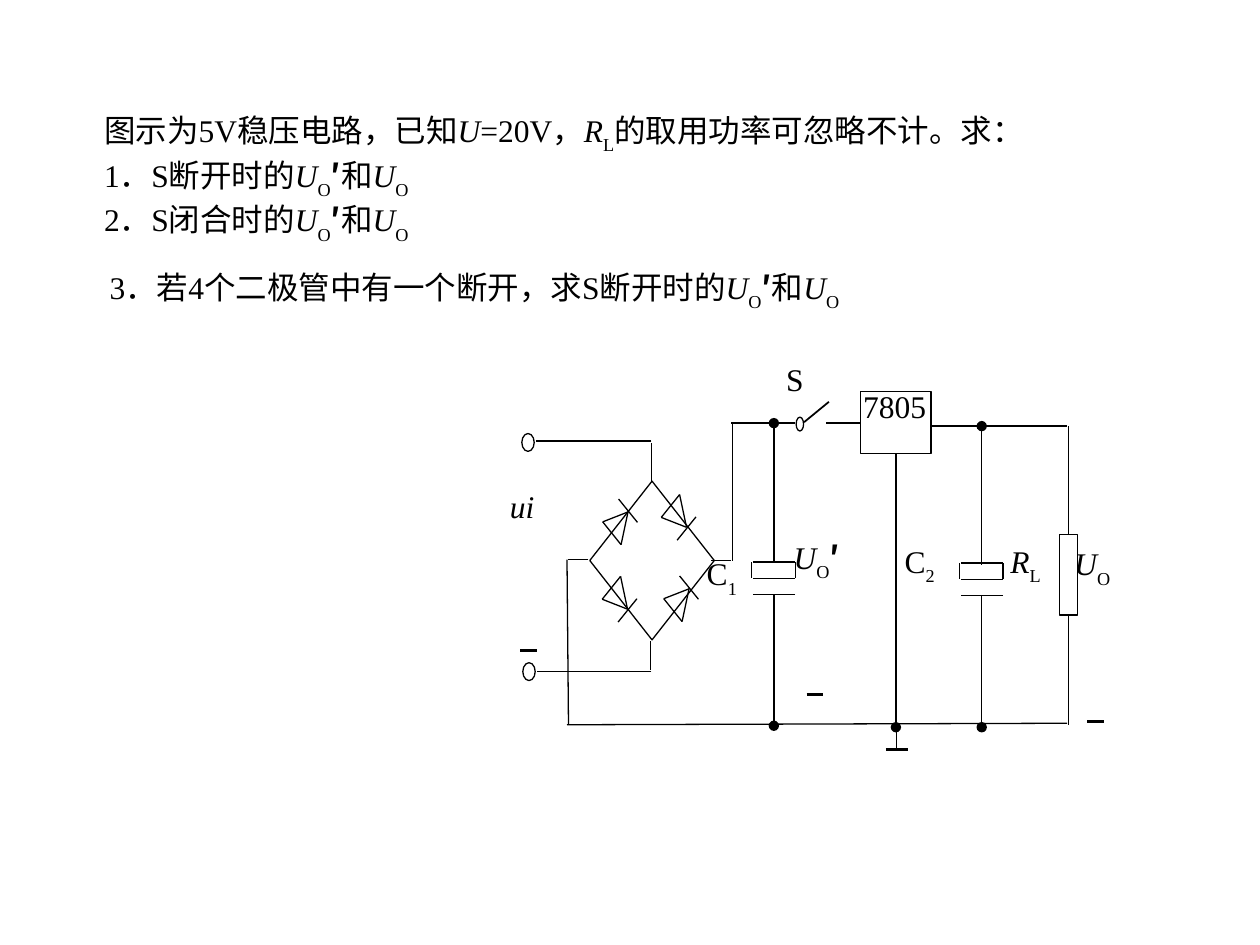
import pptx
import pptx.util
import pptx.dml.color
import pptx.enum.shapes
import pptx.enum.text
import pptx.oxml.ns
from dataclasses import dataclass
from lxml import etree

Cm, Pt = pptx.util.Cm, pptx.util.Pt
Shape = pptx.enum.shapes.MSO_SHAPE
Anchor = pptx.enum.text.MSO_ANCHOR
Fit = pptx.enum.text.MSO_AUTO_SIZE
qn = pptx.oxml.ns.qn


@dataclass
class Theme:
    """Colours, fonts and sizes of the slide."""
    ink: str = "000000"
    paper: str = "FFFFFF"
    latin: str = "Times New Roman"
    asian: str = "Noto Sans CJK SC"
    size: float = 18
    thin: float = 0.74
    lever: float = 0.99
    bold: float = 1.5


def rgb(code):
    """Turn a hex code into a colour."""
    return pptx.dml.color.RGBColor.from_string(code)


def apply(item, form):
    """Set each attribute named in a dict."""
    for name, value in form.items():
        setattr(item, name, value)


class Sheet:
    """Draws circuit parts and text on one slide."""

    def __init__(self, slide, theme):
        """Keep the slide and its style."""
        self.slide, self.theme = slide, theme
        self.forms = {
            "": {},
            "it": {"italic": True},
            "sub": {},
            "prime": {"bold": True, "name": theme.asian},
        }

    def line(self, x1, y1, x2, y2, width=None, dot=False):
        """Draw a wire, with a dot at its end if asked."""
        wire = self.slide.shapes.add_connector(
            pptx.enum.shapes.MSO_CONNECTOR.STRAIGHT, Cm(x1), Cm(y1), Cm(x2), Cm(y2))
        wire.line.color.rgb = rgb(self.theme.ink)
        wire.line.width = Pt(width or self.theme.thin)
        props = wire.element.spPr
        if dot:
            etree.SubElement(props.find(qn("a:ln")), qn("a:tailEnd"), type="oval")
        etree.SubElement(props, qn("a:effectLst"))

    def shape(self, kind, x, y, w, h):
        """Draw a filled, outlined preset shape."""
        part = self.slide.shapes.add_shape(kind, Cm(x), Cm(y), Cm(w), Cm(h))
        part.shadow.inherit = False
        part.fill.solid()
        part.fill.fore_color.rgb = rgb(self.theme.paper)
        part.line.color.rgb = rgb(self.theme.ink)
        part.line.width = Pt(self.theme.thin)

    def text(self, x, y, w, h, rows, **form):
        """Write rows of (words, style) runs."""
        box = self.slide.shapes.add_textbox(Cm(x), Cm(y), Cm(w), Cm(h))
        frame = box.text_frame
        apply(frame, {"word_wrap": True, "auto_size": Fit.NONE, **form})
        for i, row in enumerate(rows):
            para = frame.add_paragraph() if i else frame.paragraphs[0]
            for words, style in row:
                self.run(para, words, style)

    def run(self, para, words, style):
        """Add one styled run to a paragraph."""
        run = para.add_run()
        run.text = words
        apply(run.font, {"size": Pt(self.theme.size), "name": self.theme.latin,
                         **self.forms[style]})
        run.font.color.rgb = rgb(self.theme.ink)
        props = run.font._element
        props.find(qn("a:latin")).addnext(
            etree.Element(qn("a:ea"), typeface=self.theme.asian))
        if style == "sub":
            props.set("baseline", "-30000")

    def diode(self, x, y, turn):
        """Draw a diode by its tip; turn is 1 for downward, -1 for upward."""
        side, back = (x - 0.51, y - 0.2 * turn), (x - 0.14, y - 0.66 * turn)
        self.line(*side, *back)
        self.line(*back, x, y)
        self.line(*side, x, y)
        self.line(x - 0.19, y + 0.26 * turn, x + 0.19, y - 0.21 * turn)

    def cap(self, x, y):
        """Draw a polar capacitor by the middle of its top plate."""
        left, right, gap = x - 0.42, x + 0.43, 0.33
        for i in range(3):
            self.line(right, y + i * gap, left, y + i * gap)
        for edge in (left - 0.03, right):
            self.line(edge, y, edge, y + gap)


theme = Theme()
deck = pptx.Presentation()
apply(deck, {"slide_width": Cm(25.4), "slide_height": Cm(19.05)})
sheet = Sheet(deck.slides.add_slide(deck.slide_layouts[6]), theme)

sheet.shape(Shape.DIAMOND, 11.89, 9.7, 2.51, 3.2)
WIRES = [
    (13.11, 12.93, 13.11, 13.51), (11.86, 11.28, 11.46, 11.28),
    (13.13, 13.54, 10.82, 13.54), (13.13, 8.89, 10.8, 8.89),
    (11.43, 11.28, 11.46, 14.61), (21.51, 14.58, 11.43, 14.61),
    (14.76, 8.53, 14.76, 11.3), (16.03, 8.53, 14.73, 8.53),
    (13.13, 8.94, 13.13, 9.7), (14.73, 11.3, 14.33, 11.3),
    (18.77, 8.59, 21.51, 8.59), (18.08, 14.66, 18.08, 15.09),
    (21.54, 10.77, 21.54, 8.59), (21.54, 12.42, 21.54, 14.61),
    (16.66, 8.53, 17.35, 8.53),
]
for wire in WIRES:
    sheet.line(*wire)

NODES = [(15.6, 11.3, 8.53), (15.6, 11.99, 14.63), (18.06, 9.14, 14.66),
         (19.79, 11.38, 8.59), (19.79, 11.99, 14.66)]
for x, start, end in NODES:
    sheet.line(x, start, x, end, dot=True)

BARS = [(10.49, 13.11, 0.33), (21.92, 14.55, 0.33),
        (16.26, 14, 0.33), (17.86, 15.11, 0.45)]
for x, y, span in BARS:
    sheet.line(x, y, x + span, y, theme.bold)

for tip in [(13.84, 10.63, 1), (12.65, 12.28, 1),
            (13.89, 11.87, -1), (12.66, 10.32, -1)]:
    sheet.diode(*tip)
for top in [(15.6, 11.33), (19.79, 11.35)]:
    sheet.cap(*top)

for ring in [(10.52, 8.74, 0.25, 0.36), (10.54, 13.36, 0.25, 0.36),
             (16.05, 8.41, 0.15, 0.28)]:
    sheet.shape(Shape.OVAL, *ring)
sheet.line(16.21, 8.51, 16.71, 8.1, theme.lever)
sheet.shape(Shape.RECTANGLE, 17.35, 7.9, 1.42, 1.24)

OUT = [("U", "it"), ("O", "sub")]
PRIME = OUT + [("′", "prime")]
LOAD = [("R", "it"), ("L", "sub")]
LABELS = [
    (13.84, 11.05, 1.83, 1.57, [(" C", ""), ("1", "sub")]),
    (21.41, 10.85, 1.7, 1.68, OUT),
    (10.03, 9.7, 1.3, 2.29, [("ui", "it")]),
    (17.15, 7.67, 2.03, 1.55, [("7805", "")]),
    (17.83, 10.8, 2.01, 1.57, [(" C", ""), ("2", "sub")]),
    (20.12, 10.8, 1.57, 1.55, LOAD),
    (15.6, 7.14, 1.27, 1.37, [("S", "")]),
    (15.75, 10.72, 2.36, 1.91, PRIME),
]
for *place, row in LABELS:
    sheet.text(*place, [row])
sheet.shape(Shape.RECTANGLE, 21.36, 10.77, 0.36, 1.63)


def ask(lead):
    """Build the row that asks for both voltages."""
    return [(lead, ""), *PRIME, ("和", ""), *OUT]


FREE = {"word_wrap": False, "auto_size": Fit.SHAPE_TO_FIT_TEXT,
        "vertical_anchor": Anchor.MIDDLE}
given = [("图示为5V稳压电路，已知", ""), ("U", "it"), ("=20V，", ""), *LOAD,
         ("的取用功率可忽略不计。求：", "")]
sheet.text(1.85, 2.11, 19.96, 2.95,
           [given, ask("1．S断开时的"), ask("2．S闭合时的")], **FREE)
sheet.text(1.96, 5.26, 16.43, 1.17,
           [ask("3．若4个二极管中有一个断开，求S断开时的")], **FREE)

deck.save("out.pptx")
